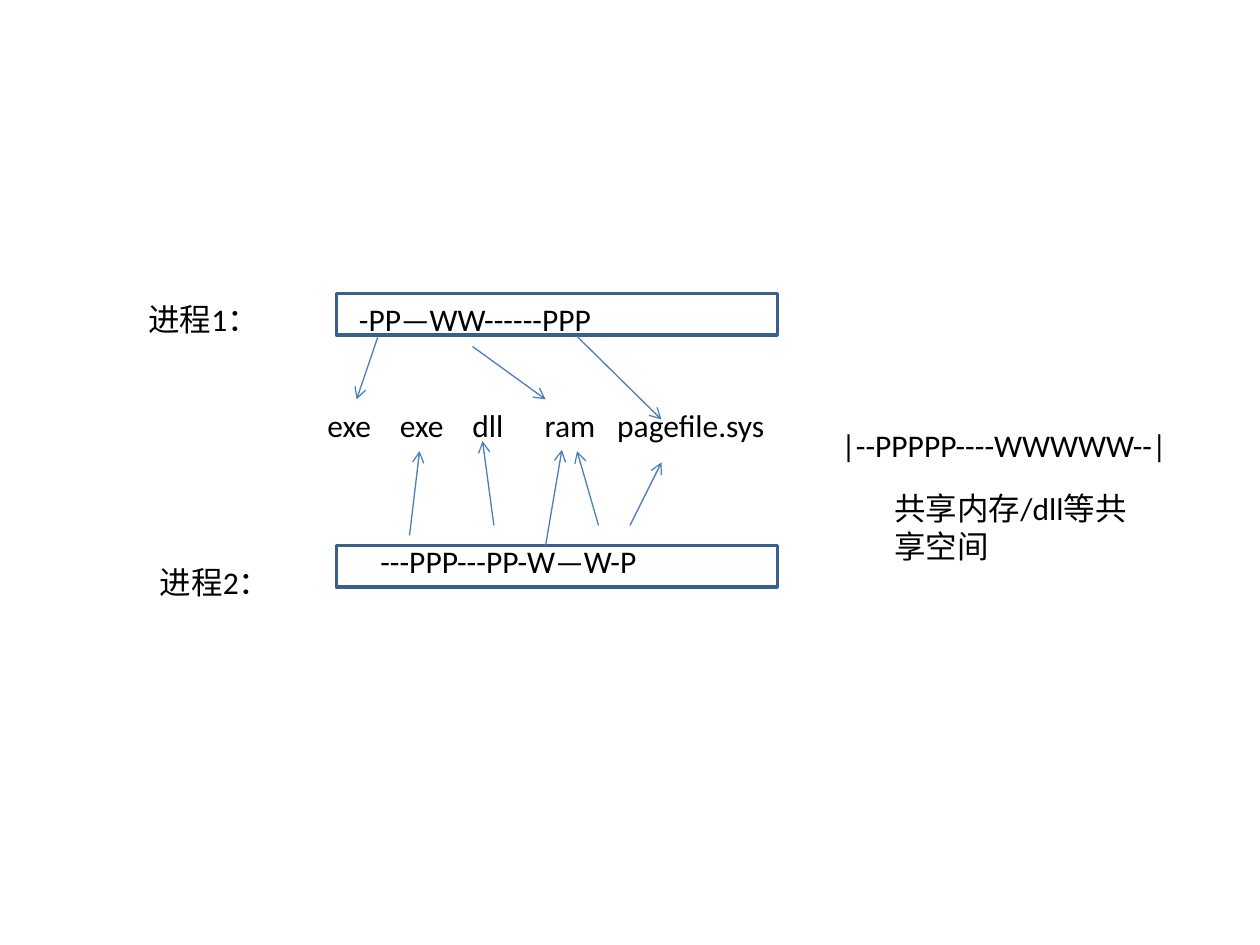
import pptx
import pptx.dml.color
import pptx.enum.shapes
import pptx.enum.text
import pptx.oxml
import pptx.oxml.ns
import pptx.util
from pptx.util import Inches

COLORS = {"text": "000000", "border": "3A5F8C", "arrow": "4B7EBC"}


class MemoryDiagram:
    """Draws the elements of a process memory diagram on one slide."""

    font_name = "Calibri"
    font_size = pptx.util.Pt(18)

    def __init__(self, slide):
        self.slide = slide

    def color(self, name):
        return pptx.dml.color.RGBColor.from_string(COLORS[name])

    def text(self, content, left, top, width, height=0.4, wrap=True):
        shape = self.slide.shapes.add_textbox(
            Inches(left), Inches(top), Inches(width), Inches(height))
        frame = shape.text_frame
        frame.word_wrap = wrap
        frame.auto_size = pptx.enum.text.MSO_AUTO_SIZE.SHAPE_TO_FIT_TEXT
        frame.text = content
        paragraph = frame.paragraphs[0]
        for run in paragraph.runs:
            run.font.name = self.font_name
            run.font.size = self.font_size
            run.font.color.rgb = self.color("text")
        return paragraph

    def columns(self, words, left, top, width, step):
        paragraph = self.text("\t".join(words), left, top, width)
        properties = paragraph._p.get_or_add_pPr()
        tabs = pptx.oxml.parse_xml(
            "<a:tabLst %s/>" % pptx.oxml.ns.nsdecls("a"))
        for index in range(1, len(words)):
            tab = tabs.makeelement(pptx.oxml.ns.qn("a:tab"), {
                "pos": str(Inches(step * index)), "algn": "l"})
            tabs.append(tab)
        properties.append(tabs)

    def box(self, left, top, width, height):
        shape = self.slide.shapes.add_shape(
            pptx.enum.shapes.MSO_SHAPE.RECTANGLE,
            Inches(left), Inches(top), Inches(width), Inches(height))
        shape.shadow.inherit = False
        shape.fill.background()
        shape.line.color.rgb = self.color("border")
        shape.line.width = pptx.util.Pt(2)

    def arrow(self, start, end):
        connector = self.slide.shapes.add_connector(
            pptx.enum.shapes.MSO_CONNECTOR.STRAIGHT,
            *(Inches(value) for value in start + end))
        connector.line.color.rgb = self.color("arrow")
        connector.line.width = pptx.util.Pt(0.75)
        namespace = pptx.oxml.ns.nsdecls("a")
        connector.line._get_or_add_ln().append(pptx.oxml.parse_xml(
            '<a:tailEnd %s type="arrow"/>' % namespace))
        connector._element.spPr.append(
            pptx.oxml.parse_xml("<a:effectLst %s/>" % namespace))


presentation = pptx.Presentation()
presentation.slide_width = Inches(10)
presentation.slide_height = Inches(7.5)
diagram = MemoryDiagram(
    presentation.slides.add_slide(presentation.slide_layouts[6]))

diagram.text("进程1：", 1.08, 2.33, 1.09, wrap=False)
diagram.text("进程2：", 1.17, 4.42, 1.09, wrap=False)

for box_top in (2.33, 4.33):
    diagram.box(2.67, box_top, 3.5, 0.33)

diagram.text("-PP—WW------PPP", 2.75, 2.33, 3.25)
diagram.text("---PPP---PP-W—W-P", 2.92, 4.25, 2.42)
diagram.columns(["exe", "exe", "dll", "ram", "pagefile.sys"],
                2.5, 3.17, 3.92, 0.575)

process_1_arrows = [
    ((3, 2.67), (2.83, 3.17)),
    ((3.75, 2.75), (4.33, 3.17)),
    ((4.58, 2.67), (5.25, 3.33)),
]
process_2_arrows = [
    ((3.25, 4.25), (3.33, 3.58)),
    ((3.92, 4.17), (3.83, 3.5)),
    ((4.33, 4.33), (4.46, 3.57)),
    ((4.75, 4.17), (4.58, 3.58)),
    ((5, 4.17), (5.25, 3.67)),
]
for start, end in process_1_arrows + process_2_arrows:
    diagram.arrow(start, end)

diagram.text("|--PPPPP----WWWWW--|", 6.58, 3.33, 2.92)
diagram.text("共享内存/dll等共享空间", 7, 3.83, 2.08, 0.71)

presentation.save("out.pptx")
